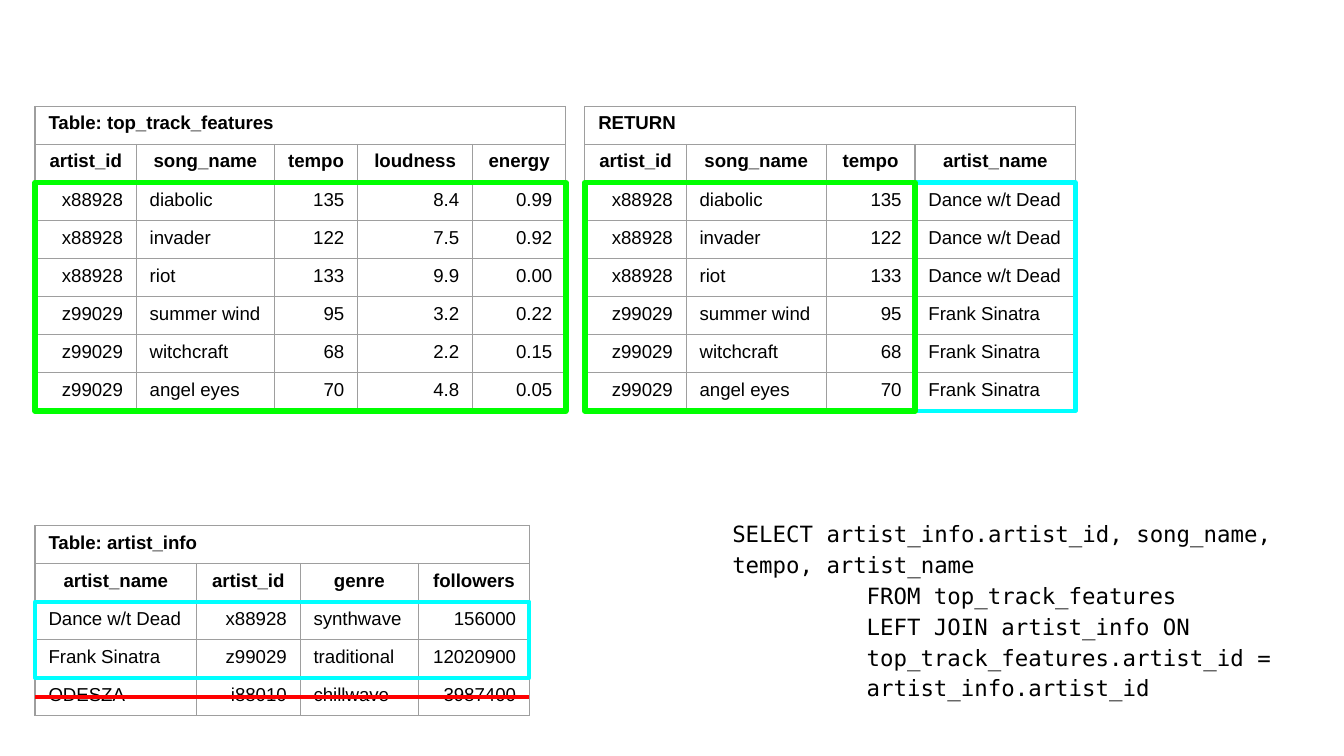
from lxml import etree
from pptx import Presentation
from pptx.dml.color import RGBColor
from pptx.enum.shapes import MSO_CONNECTOR, MSO_SHAPE
from pptx.enum.text import PP_ALIGN
from pptx.oxml.ns import qn
from pptx.util import Pt

LEFT, CENTER, RIGHT = PP_ALIGN.LEFT, PP_ALIGN.CENTER, PP_ALIGN.RIGHT
RECT, STRAIGHT = MSO_SHAPE.RECTANGLE, MSO_CONNECTOR.STRAIGHT

THEME = {
    "text": RGBColor(0, 0, 0), "cell": RGBColor(255, 255, 255), "grid": "9E9E9E",
    "track": RGBColor(0, 255, 0), "artist": RGBColor(0, 255, 255),
    "dropped": RGBColor(255, 0, 0),
    "table_font": "Arial", "table_size": Pt(10),
    "code_font": "DejaVu Sans Mono", "code_size": Pt(12),
}
ROW_H = 20.4

prs = Presentation()
prs.slide_width, prs.slide_height = Pt(720), Pt(405)
s = prs.slides.add_slide(prs.slide_layouts[6])


def add_grid(x, y, widths, aligns, rows):
    """Add a table with a merged caption row, a header row and data rows."""
    table = s.shapes.add_table(len(rows), len(widths), Pt(x), Pt(y),
                               Pt(sum(widths)), Pt(ROW_H * len(rows))).table
    table.first_row = table.horz_banding = False
    for col, width in zip(table.columns, widths):
        col.width = Pt(width)
    for i, row in enumerate(rows):
        table.rows[i].height = Pt(ROW_H)
        for j, align in enumerate(aligns):
            cell = table.cell(i, j)
            cell.margin_left = cell.margin_right = Pt(7.2)
            cell.margin_top = cell.margin_bottom = Pt(3.6)
            cell.fill.solid()
            cell.fill.fore_color.rgb = THEME["cell"]
            # Cell borders go ahead of the fill
            tcPr = cell._tc.get_or_add_tcPr()
            for k, side in enumerate(("a:lnL", "a:lnR", "a:lnT", "a:lnB")):
                ln = etree.Element(qn(side), w=str(Pt(0.75)))
                fill = etree.SubElement(ln, qn("a:solidFill"))
                etree.SubElement(fill, qn("a:srgbClr"), val=THEME["grid"])
                tcPr.insert(k, ln)
            if j >= len(row):
                continue
            p = cell.text_frame.paragraphs[0]
            p.alignment = (LEFT, CENTER)[i] if i < 2 else align
            r = p.add_run()
            r.text = row[j]
            fmt = {"name": THEME["table_font"], "size": THEME["table_size"], "bold": i < 2}
            for key, value in fmt.items():
                setattr(r.font, key, value)
            r.font.color.rgb = THEME["text"]
    table.cell(0, 0).merge(table.cell(0, len(widths) - 1))


def add_frame(x, y, width, n_rows, color, weight):
    """Outline n_rows data rows of a table whose top is y."""
    sp = s.shapes.add_shape(RECT, Pt(x), Pt(y + 2 * ROW_H), Pt(width), Pt(n_rows * ROW_H))
    sp.shadow.inherit = False
    sp.fill.background()
    sp.line.color.rgb = THEME[color]
    sp.line.width = Pt(weight)


# Data
tracks = [
    ("x88928", "diabolic", "135", "8.4", "0.99"),
    ("x88928", "invader", "122", "7.5", "0.92"),
    ("x88928", "riot", "133", "9.9", "0.00"),
    ("z99029", "summer wind", "95", "3.2", "0.22"),
    ("z99029", "witchcraft", "68", "2.2", "0.15"),
    ("z99029", "angel eyes", "70", "4.8", "0.05"),
]
artists = [
    ("Dance w/t Dead", "x88928", "synthwave", "156000"),
    ("Frank Sinatra", "z99029", "traditional", "12020900"),
    ("ODESZA", "i88010", "chillwave", "3987400"),
]
name_of = {artist[1]: artist[0] for artist in artists}
joined = [track[:3] + (name_of[track[0]],) for track in tracks]

left_x, top_y, return_x, artist_y = 18.8, 57, 313.3, 281.5
track_w = [54.2, 74, 44.6, 61.6, 49.9]
return_w = [54.3, 75, 47.6, 86]
artist_w = [86.4, 55.6, 63.4, 59.4]

# Source tables
add_grid(left_x, top_y, track_w, [RIGHT, LEFT, RIGHT, RIGHT, RIGHT],
         [("Table: top_track_features",),
          ("artist_id", "song_name", "tempo", "loudness", "energy"), *tracks])
add_frame(left_x, top_y, sum(track_w), len(tracks), "track", 3)

add_grid(left_x, artist_y, artist_w, [LEFT, RIGHT, LEFT, RIGHT],
         [("Table: artist_info",),
          ("artist_name", "artist_id", "genre", "followers"), *artists])
add_frame(left_x, artist_y, sum(artist_w), 2, "artist", 2.25)

# Join result
add_grid(return_x, top_y, return_w, [RIGHT, LEFT, RIGHT, LEFT],
         [("RETURN",), ("artist_id", "song_name", "tempo", "artist_name"), *joined])
from_tracks = sum(return_w[:3])
add_frame(return_x + from_tracks, top_y, return_w[3], len(joined), "artist", 2.25)
add_frame(return_x, top_y, from_tracks, len(joined), "track", 3)

# Strike through the unmatched artist
strike_y = Pt(artist_y + 4.5 * ROW_H)
strike = s.shapes.add_connector(STRAIGHT, Pt(left_x), strike_y,
                                Pt(left_x + sum(artist_w)), strike_y)
strike.line.color.rgb = THEME["dropped"]
strike.line.width = Pt(2.25)
etree.SubElement(strike._element.spPr, qn("a:effectLst"))

# Query
query = [
    "SELECT artist_info.artist_id, song_name, tempo, artist_name",
    "\tFROM top_track_features",
    "\tLEFT JOIN artist_info ON",
    "\ttop_track_features.artist_id =",
    "\tartist_info.artist_id",
]
tf = s.shapes.add_textbox(Pt(385.2), Pt(269.3), Pt(306), Pt(122.4)).text_frame
tf.word_wrap = True
for side in ("left", "right", "top", "bottom"):
    setattr(tf, "margin_" + side, Pt(7.2))
for i, line in enumerate(query):
    p = tf.add_paragraph() if i else tf.paragraphs[0]
    p.line_spacing = 1.15
    tabs = etree.SubElement(p._p.get_or_add_pPr(), qn("a:tabLst"))
    etree.SubElement(tabs, qn("a:tab"), pos=str(Pt(72)), algn="l")
    r = p.add_run()
    r.text = line
    for key, value in {"name": THEME["code_font"], "size": THEME["code_size"]}.items():
        setattr(r.font, key, value)
    r.font.color.rgb = THEME["text"]

prs.save("out.pptx")
